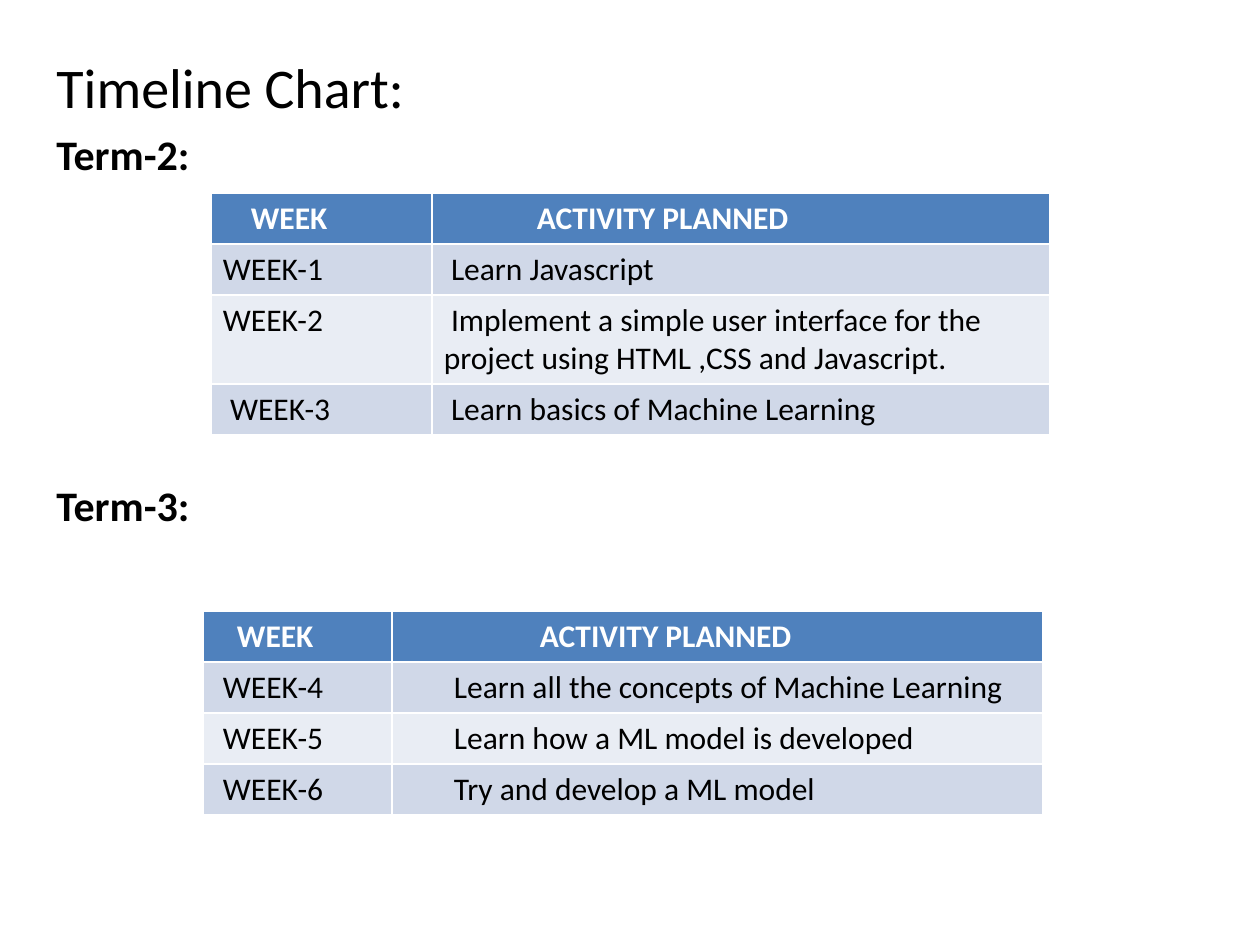
import pptx
import pptx.dml.color
import pptx.util

EMU_PER_PX = 914400 / 126
BLACK = pptx.dml.color.RGBColor(0x00, 0x00, 0x00)
WHITE = pptx.dml.color.RGBColor(0xFF, 0xFF, 0xFF)
HEADER_BLUE = pptx.dml.color.RGBColor(0x4F, 0x81, 0xBD)
BAND_DARK = pptx.dml.color.RGBColor(0xD0, 0xD8, 0xE8)
BAND_LIGHT = pptx.dml.color.RGBColor(0xE9, 0xED, 0xF4)

HEADINGS = [
    ("Timeline Chart:", 32, False, 0),
    ("Term-2:", 24, True, 5),
    ("Term-3:", 24, True, 172),
]
HEADER = ("WEEK", "ACTIVITY PLANNED")
TERM_2 = {
    "position": (211, 193),
    "columns": (221, 618),
    "heights": (51, 51, 89, 51),
    "header_indents": (40, 105),
    "body_indents": (12, 12),
    "rows": [
        HEADER,
        ("WEEK-1", " Learn Javascript"),
        ("WEEK-2", " Implement a simple user interface for the project "
                   "using HTML ,CSS and Javascript."),
        (" WEEK-3", " Learn basics of Machine Learning"),
    ],
}
TERM_3 = {
    "position": (203, 611),
    "columns": (189, 651),
    "heights": (51, 51, 51, 51),
    "header_indents": (34, 148),
    "body_indents": (20, 62),
    "rows": [
        HEADER,
        ("WEEK-4", "Learn all the concepts of Machine Learning"),
        ("WEEK-5", "Learn how a ML model is developed"),
        ("WEEK-6", "Try and develop a ML model"),
    ],
}


def px(length):
    """Turn a length in pixels into EMU."""
    return pptx.util.Emu(round(length * EMU_PER_PX))


def write_text(paragraph, text, size, bold, color):
    """Put one formatted run into a paragraph."""
    run = paragraph.add_run()
    run.text = text
    formats = {"name": "Calibri", "size": pptx.util.Pt(size), "bold": bold}
    for attribute, value in formats.items():
        setattr(run.font, attribute, value)
    run.font.color.rgb = color


def add_headings(slide, left, top, width, height):
    """Add the title and the term headings in one text box."""
    shape = slide.shapes.add_textbox(px(left), px(top), px(width), px(height))
    frame = shape.text_frame
    frame.word_wrap = True
    for index, (text, size, bold, space) in enumerate(HEADINGS):
        paragraph = frame.add_paragraph() if index else frame.paragraphs[0]
        paragraph.space_before = pptx.util.Pt(space)
        write_text(paragraph, text, size, bold, BLACK)


def fill_cell(cell, text, indent, fill, color, bold):
    """Colour a table cell and write its indented text."""
    cell.fill.solid()
    cell.fill.fore_color.rgb = fill
    cell.margin_left = px(indent)
    write_text(cell.text_frame.paragraphs[0], text, 18, bold, color)


def add_schedule(slide, schedule):
    """Add a weekly schedule table with a header and banded rows."""
    rows, columns, heights = (schedule[key] for key in ("rows", "columns", "heights"))
    left, top = schedule["position"]
    table = slide.shapes.add_table(
        len(rows), len(columns), px(left), px(top), px(sum(columns)), px(sum(heights))
    ).table
    for column, width in zip(table.columns, columns):
        column.width = px(width)
    for index, (texts, height) in enumerate(zip(rows, heights)):
        table.rows[index].height = px(height)
        is_header = index == 0
        band = BAND_DARK if index % 2 else BAND_LIGHT
        fill = HEADER_BLUE if is_header else band
        color = WHITE if is_header else BLACK
        indents = schedule["header_indents" if is_header else "body_indents"]
        for cell, text, indent in zip(table.rows[index].cells, texts, indents):
            fill_cell(cell, text, indent, fill, color, is_header)


def main():
    """Build and save the timeline slide."""
    presentation = pptx.Presentation()
    presentation.slide_width = px(1260)
    presentation.slide_height = px(945)
    slide = presentation.slides.add_slide(presentation.slide_layouts[6])
    add_headings(slide, 44, 46, 1181, 843)
    for schedule in (TERM_2, TERM_3):
        add_schedule(slide, schedule)
    presentation.save("out.pptx")


if __name__ == "__main__":
    main()
